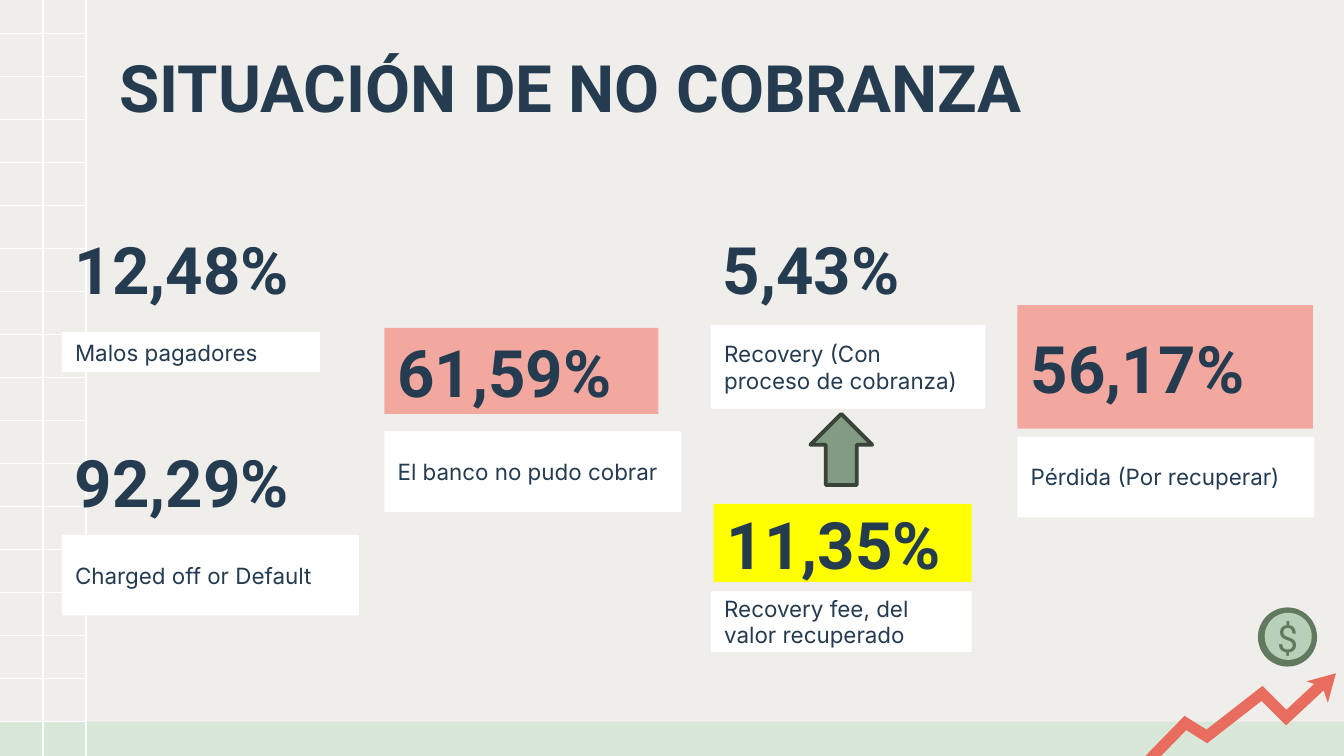
from lxml import etree
from pptx import Presentation
from pptx.dml.color import RGBColor
from pptx.enum.shapes import MSO_CONNECTOR, MSO_SHAPE
from pptx.enum.text import MSO_ANCHOR, PP_ALIGN
from pptx.oxml.ns import qn
from pptx.util import Inches, Pt

RECTANGLE = MSO_SHAPE.RECTANGLE
OVAL = MSO_SHAPE.OVAL
UP_ARROW = MSO_SHAPE.UP_ARROW
STRAIGHT = MSO_CONNECTOR.STRAIGHT
TOP, MIDDLE = MSO_ANCHOR.TOP, MSO_ANCHOR.MIDDLE
LEFT, CENTER = PP_ALIGN.LEFT, PP_ALIGN.CENTER

WIDTH = 10
HEIGHT = WIDTH * 9 / 16
COLORS = {
    "background": "EFEEEA",
    "band": "D9E7D8",
    "white": "FFFFFF",
    "navy": "243B50",
    "pink": "F2A79F",
    "yellow": "FFFF00",
    "coral": "E96D5F",
    "coin_rim": "61795F",
    "coin_face": "B9D0B8",
    "arrow": "839B82",
    "arrow_edge": "394439",
}


def color(name):
    return RGBColor.from_string(COLORS[name])


def paint(shape, fill=None, line=None, line_width=1):
    shape.shadow.inherit = False
    if fill:
        shape.fill.solid()
        shape.fill.fore_color.rgb = color(fill)
    else:
        shape.fill.background()
    if line:
        shape.line.color.rgb = color(line)
        shape.line.width = Pt(line_width)
    else:
        shape.line.fill.background()


def add_shape(slide, kind, box, **format_options):
    shape = slide.shapes.add_shape(kind, *(Inches(value) for value in box))
    paint(shape, **format_options)
    return shape


def add_text(slide, text, box, size=12, font="Inter", text_color="navy", bold=False,
             fill=None, anchor=MIDDLE, align=LEFT, inset=0.1):
    if fill:
        shape = add_shape(slide, RECTANGLE, box, fill=fill)
    else:
        shape = slide.shapes.add_textbox(*(Inches(value) for value in box))
    frame = shape.text_frame
    frame.word_wrap = True
    frame.vertical_anchor = anchor
    frame.margin_left = frame.margin_right = Inches(inset)
    frame.margin_top = frame.margin_bottom = Inches(inset)
    paragraph = frame.paragraphs[0]
    paragraph.alignment = align
    run = paragraph.add_run()
    run.text = text
    run.font.size = Pt(size)
    run.font.name = font
    run.font.bold = bold
    run.font.color.rgb = color(text_color)


def add_line(slide, start, end):
    connector = slide.shapes.add_connector(
        STRAIGHT, *(Inches(value) for value in (*start, *end)))
    connector.line.color.rgb = color("white")
    connector.line.width = Pt(0.75)
    etree.SubElement(connector._element.spPr, qn("a:effectLst"))


def add_outline(slide, origin, points, close, **format_options):
    left, top = origin
    vertices = [(Inches(left + x), Inches(top + y)) for x, y in points]
    builder = slide.shapes.build_freeform(*vertices[0])
    builder.add_line_segments(vertices[1:], close=close)
    shape = builder.convert_to_shape()
    paint(shape, **format_options)
    return shape


def draw_grid(slide, box, step=0.32, first_row=0.25):
    left, top, width, height = box
    for row in range(17):
        y = top + first_row + row * step
        add_line(slide, (left, y), (left + width, y))
    for column in (1, 2):
        x = left + column * step
        add_line(slide, (x, top), (x, top + height))


def draw_trend(slide, box):
    left, top, width, height = box
    head = [(width, 0.49), (1.42, 0.52), (1.31, 0.55), (1.43, 0.59),
            (1.47, 0.71), (1.5, 0.6)]
    add_outline(slide, (left, top), head, True, fill="coral")
    add_shape(slide, OVAL, (left + 0.95, top, 0.44, 0.44), fill="coin_rim")
    add_shape(slide, OVAL, (left + 1, top + 0.04, 0.35, 0.35), fill="coin_face")
    add_text(slide, "$", (left + 1.07, top + 0.06, 0.2, 0.33), size=20, font="Roboto",
             text_color="coin_rim", align=CENTER, inset=0)
    points = [(0, height), (0.41, 0.86), (0.57, 0.96), (0.98, 0.64),
              (1.16, 0.82), (1.45, 0.55)]
    trend = add_outline(slide, (left, top), points, False, line="coral", line_width=6)
    outline = trend._element.spPr.find(qn("a:ln"))
    etree.SubElement(outline, qn("a:miter")).set("lim", "800000")


def draw_metric(slide, box, value, label, label_box, fill=None):
    left, top, width, height = box
    offset_x, offset_y, label_width, label_height = label_box
    add_text(slide, label, (left + offset_x, top + offset_y, label_width, label_height),
             fill="white")
    add_text(slide, value, box, size=35, font="Roboto", bold=True, fill=fill)


def main():
    presentation = Presentation()
    presentation.slide_width = Inches(WIDTH)
    presentation.slide_height = Inches(HEIGHT)
    slide = presentation.slides.add_slide(presentation.slide_layouts[6])
    slide.background.fill.solid()
    slide.background.fill.fore_color.rgb = color("background")

    add_shape(slide, RECTANGLE, (0, 5.37, WIDTH, HEIGHT - 5.37), fill="band")
    draw_grid(slide, (0, 0, 0.64, HEIGHT))
    draw_trend(slide, (8.41, 4.52, 1.53, 1.28))
    add_text(slide, "SITUACIÓN DE NO COBRANZA", (0.79, 0.25, 7.78, 0.61),
             size=35, font="Roboto", bold=True, anchor=TOP)

    metrics = [
        ((0.46, 1.54, 2.2, 0.92), "12,48%", "Malos pagadores",
         (0, 0.93, 1.92, 0.3), None),
        ((0.46, 3.12, 2.2, 0.92), "92,29%", "Charged off or Default",
         (0, 0.86, 2.21, 0.6), None),
        ((2.86, 2.44, 2.04, 0.64), "61,59%", "El banco no pudo cobrar",
         (0, 0.77, 2.21, 0.6), "pink"),
        ((5.28, 1.54, 2.2, 0.92), "5,43%", "Recovery (Con proceso de cobranza)",
         (0.01, 0.88, 2.04, 0.62), None),
        ((5.31, 3.75, 1.92, 0.58), "11,35%", "Recovery fee, del valor recuperado",
         (-0.02, 0.65, 1.94, 0.45), "yellow"),
        ((7.57, 2.27, 2.2, 0.92), "56,17%", "Pérdida (Por recuperar)",
         (0, 0.98, 2.21, 0.6), "pink"),
    ]
    for box, value, label, label_box, fill in metrics:
        draw_metric(slide, box, value, label, label_box, fill)

    add_shape(slide, UP_ARROW, (6.03, 3.08, 0.46, 0.53), fill="arrow",
              line="arrow_edge", line_width=2)
    presentation.save("out.pptx")


if __name__ == "__main__":
    main()
